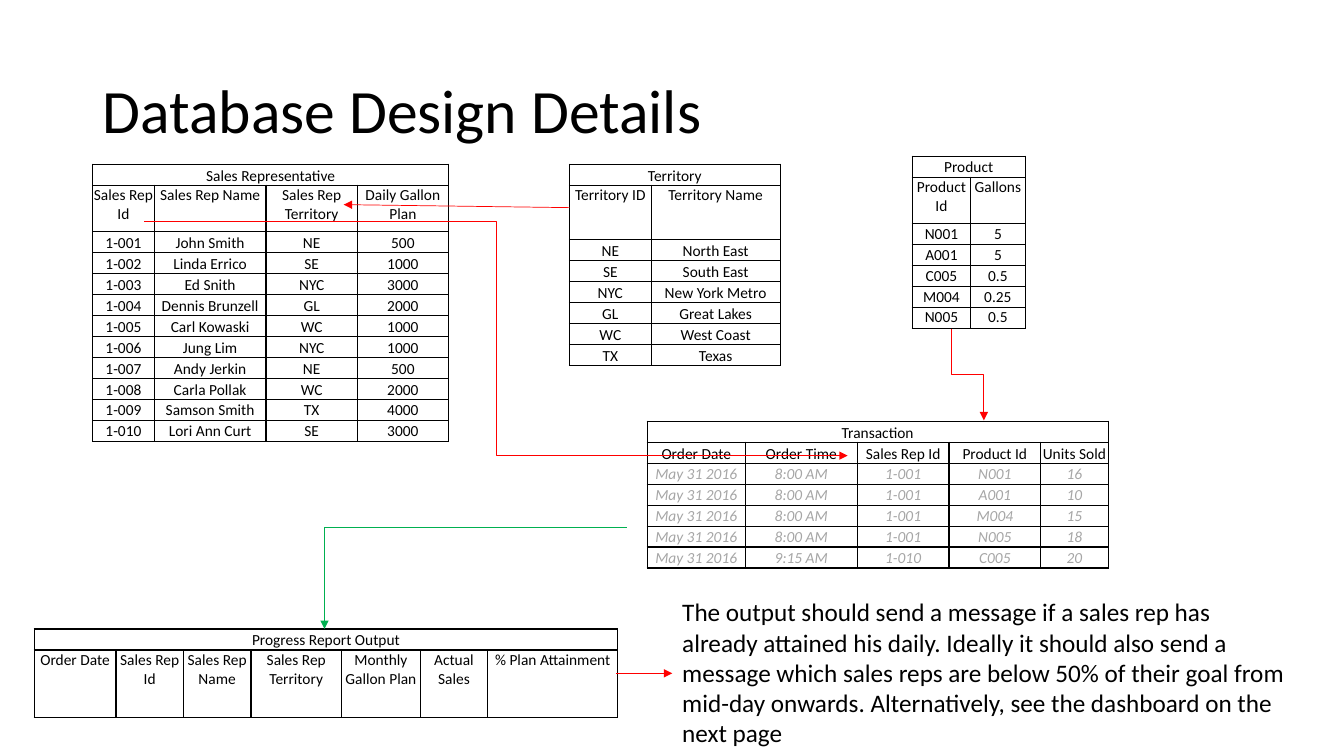
import lxml.etree
import pptx
import pptx.dml.color
import pptx.enum.shapes
import pptx.enum.text
import pptx.oxml.ns
import pptx.util

# The slide is a grid of square cells, 0.1 inch wide
STEP = 91440
ROW = 2.08
ANCHOR = pptx.enum.text.MSO_ANCHOR
ALIGN = pptx.enum.text.PP_ALIGN
BLACK, GREY, RED, GREEN = "000000", "A6A6A6", "FF0000", "00B050"

REPS = """1-001|John Smith|NE|500
1-002|Linda Errico|SE|1000
1-003|Ed Snith|NYC|3000
1-004|Dennis Brunzell|GL|2000
1-005|Carl Kowaski|WC|1000
1-006|Jung Lim|NYC|1000
1-007|Andy Jerkin|NE|500
1-008|Carla Pollak|WC|2000
1-009|Samson Smith|TX|4000
1-010|Lori Ann Curt|SE|3000"""
AREAS = """NE|North East
SE|South East
NYC|New York Metro
GL|Great Lakes
WC|West Coast
TX|Texas"""
GOODS = """N001|5
A001|5
C005|0.5
M004|0.25
N005|0.5"""
SALES = """May 31 2016|8:00 AM|1-001|N001|16
May 31 2016|8:00 AM|1-001|A001|10
May 31 2016|8:00 AM|1-001|M004|15
May 31 2016|8:00 AM|1-001|N005|18
May 31 2016|9:15 AM|1-010|C005|20"""
NOTE = ("The output should send a message if a sales rep has already attained "
        "his daily. Ideally it should also send a message which sales reps are "
        "below 50% of their goal from mid-day onwards. Alternatively, see the "
        "dashboard on the next page")


def grid(*cells):
    return [pptx.util.Emu(round(cell * STEP)) for cell in cells]


def paint(tone):
    return pptx.dml.color.RGBColor.from_string(tone)


def node(parent, tag, **attrs):
    return lxml.etree.SubElement(parent, pptx.oxml.ns.qn(tag), attrs)


def write(frame, text, size=11, tone=BLACK, italic=False, align=ALIGN.LEFT, space=1.0):
    para = frame.paragraphs[0]
    para.alignment, para.line_spacing = align, space
    run = para.add_run()
    run.text = text
    font = run.font
    font.name, font.size, font.italic = "Calibri", pptx.util.Pt(size), italic
    font.color.rgb = paint(tone)


def label(slide, box, text, anchor=ANCHOR.TOP, **style):
    frame = slide.shapes.add_textbox(*grid(*box)).text_frame
    frame.word_wrap, frame.vertical_anchor = True, anchor
    write(frame, text, **style)


def border(cell):
    props = cell._tc.get_or_add_tcPr()
    for side in ("a:lnL", "a:lnR", "a:lnT", "a:lnB"):
        line = node(props, side, w="12700")
        node(node(line, "a:solidFill"), "a:srgbClr", val=BLACK)
    cell.fill.background()


def entry(cell, text, anchor, **style):
    cell.margin_left = cell.margin_right = cell.margin_top = grid(0.08)[0]
    cell.margin_bottom = 0
    cell.vertical_anchor = anchor
    write(cell.text_frame, text, align=ALIGN.CENTER, **style)


def entity(slide, spot, name, heads, cols, head, data="", top=ANCHOR.TOP,
           base=ANCHOR.BOTTOM, **style):
    """Draw a database table: merged name row, field row, data rows."""
    body = [line.split("|") for line in data.splitlines()]
    rows = [ROW, head] + [ROW] * len(body)
    table = slide.shapes.add_table(
        len(rows), len(cols), *grid(*spot, sum(cols), sum(rows))).table
    table.first_row = table.horz_banding = False
    for part, size in zip(table.columns, grid(*cols)):
        part.width = size
    for part, size in zip(table.rows, grid(*rows)):
        part.height = size
    for cell in table.iter_cells():
        border(cell)
    table.cell(0, 0).merge(table.cell(0, len(cols) - 1))
    entry(table.cell(0, 0), name, ANCHOR.BOTTOM)
    for col, field in enumerate(heads.split("|")):
        entry(table.cell(1, col), field, top)
    for row, line in enumerate(body, 2):
        for col, value in enumerate(line):
            entry(table.cell(row, col), value, base, **style)


def arrow(slide, start, end, tone=RED, bends=0, turned=False):
    """Draw an arrow; a turned one leaves its start vertically."""
    (left, top), (right, low) = start, end
    if turned:
        midx, midy = (left + right) / 2, (top + low) / 2
        wide, high = (right - left) / 2, (low - top) / 2
        left, top, right, low = midx + high, midy - wide, midx - high, midy + wide
    kinds = pptx.enum.shapes.MSO_CONNECTOR
    kind = kinds.ELBOW if bends else kinds.STRAIGHT
    link = slide.shapes.add_connector(kind, *grid(left, top, right, low))
    link.line.color.rgb, link.line.width = paint(tone), pptx.util.Pt(0.5)
    node(link.line._get_or_add_ln(), "a:tailEnd", type="triangle")
    props = link._element.spPr
    node(props, "a:effectLst")
    if turned:
        props.find(pptx.oxml.ns.qn("a:xfrm")).set("rot", "16200000")
    if bends == 1:
        props.find(pptx.oxml.ns.qn("a:prstGeom")).set("prst", "bentConnector2")


def main():
    deck = pptx.Presentation()
    deck.slide_width, deck.slide_height = grid(133.33, 75)
    slide = deck.slides.add_slide(deck.slide_layouts[6])

    # Title
    label(slide, (9.2, 4, 115, 14.5), "Database Design Details",
          anchor=ANCHOR.MIDDLE, size=44, space=0.9)

    # Source tables
    entity(slide, (9.2, 16.3), "Sales Representative",
           "Sales Rep Id|Sales Rep Name|Sales Rep Territory|Daily Gallon Plan",
           (6.1, 11.1, 9.05, 9.05), 4.6, REPS)
    entity(slide, (56.5, 16.3), "Territory", "Territory ID|Territory Name",
           (8.1, 12.8), 5.4, AREAS)
    entity(slide, (90.5, 15.5), "Product", "Product Id|Gallons",
           (5.8, 5.4), 4.6, GOODS, base=ANCHOR.TOP)
    entity(slide, (64.2, 41.8), "Transaction",
           "Order Date|Order Time|Sales Rep Id|Product Id|Units Sold",
           (9.75, 11.1, 9.1, 9.1, 6.7), ROW, SALES, top=ANCHOR.BOTTOM,
           tone=GREY, italic=True)

    # Report
    entity(slide, (3.4, 62.4), "Progress Report Output",
           "Order Date|Sales Rep Id|Sales Rep Name|Sales Rep Territory|"
           "Monthly Gallon Plan|Actual Sales|% Plan Attainment",
           (8.1, 6.7, 6.7, 9, 7.8, 6.7, 12.9), 6.7)
    label(slide, (66.7, 58.7, 61.7, 16.2), NOTE, size=18)

    # Links between the tables
    arrow(slide, (14.3, 22), (84.1, 45.2), bends=2)
    arrow(slide, (94.4, 32.6), (97.6, 41.7), bends=2, turned=True)
    arrow(slide, (61.1, 66.8), (66.7, 66.8))
    arrow(slide, (56.5, 20.6), (34.1, 20.3))
    arrow(slide, (62.2, 52.3), (32.2, 62.4), tone=GREEN, bends=1)

    deck.save("out.pptx")


main()
